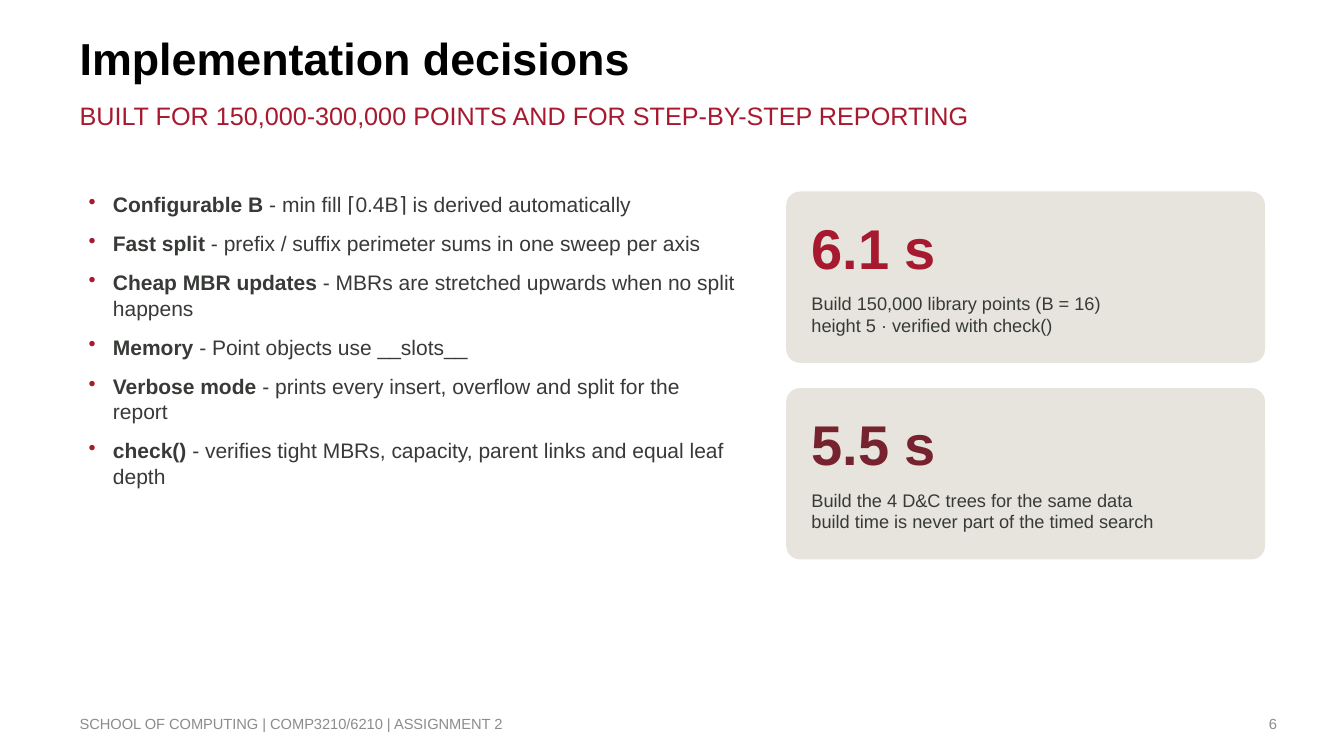
from dataclasses import dataclass

import pptx
import pptx.dml.color
import pptx.enum.shapes
import pptx.enum.text
import pptx.oxml.ns
import pptx.util
from lxml import etree
from pptx.shapes.base import BaseShape
from pptx.slide import Slide
from pptx.text.text import Font, TextFrame, _Paragraph

Pt = pptx.util.Pt
Align = pptx.enum.text.PP_ALIGN
Anchor = pptx.enum.text.MSO_ANCHOR

FONT = "Arial"
RED, MAROON = "A6192E", "76232F"
BLACK, INK, GREY, SAND = "000000", "373A36", "8C8C8C", "E6E4DC"
MARGIN = 56.9
INSET = 3.6


@dataclass(frozen=True)
class Area:
    left: float
    top: float
    width: float
    height: float


@dataclass(frozen=True)
class Label:
    text: str
    area: Area
    size: float
    color: str
    bold: bool = False
    inset: float = 0
    anchor: Anchor = Anchor.TOP
    align: Align = Align.LEFT


@dataclass(frozen=True)
class Decision:
    name: str
    detail: str


@dataclass(frozen=True)
class Card:
    figure: str
    color: str
    caption: str


TITLE = Label("Implementation decisions", Area(MARGIN, 21.6, 666, 51.1), 32, BLACK, bold=True)
LABELS = [
    Label("BUILT FOR 150,000-300,000 POINTS AND FOR STEP-BY-STEP REPORTING",
          Area(MARGIN, 71.3, 672.5, 35.3), 18, RED),
    Label("SCHOOL OF COMPUTING | COMP3210/6210 | ASSIGNMENT 2",
          Area(MARGIN, 502.6, 423.4, 28.8), 10.5, GREY, anchor=Anchor.MIDDLE),
    Label("6", Area(688.3, 502.6, 223.9, 28.8), 10.5, GREY,
          anchor=Anchor.MIDDLE, align=Align.RIGHT),
]
DECISIONS = [
    Decision("Configurable B", "min fill ⌈0.4B⌉ is derived automatically"),
    Decision("Fast split", "prefix / suffix perimeter sums in one sweep per axis"),
    Decision("Cheap MBR updates", "MBRs are stretched upwards when no split happens"),
    Decision("Memory", "Point objects use __slots__"),
    Decision("Verbose mode", "prints every insert, overflow and split for the report"),
    Decision("check()", "verifies tight MBRs, capacity, parent links and equal leaf depth"),
]
CARDS = [
    Card("6.1 s", RED,
         "Build 150,000 library points (B = 16)\nheight 5 · verified with check()"),
    Card("5.5 s", MAROON,
         "Build the 4 D&C trees for the same data\nbuild time is never part of the timed search"),
]
DECISION_AREA = Area(MARGIN, 133.2, 475.2, 345.6)
FIRST_CARD = Area(561.6, 136.8, 342, 122.4)
CARD_PITCH = 140.4
CARD_PADDING = 14.4


def rgb(color: str) -> pptx.dml.color.RGBColor:
    return pptx.dml.color.RGBColor.from_string(color)


def style_font(font: Font, size: float, color: str, bold: bool) -> None:
    font.name = FONT
    font.size = Pt(size)
    font.bold = bold
    font.color.rgb = rgb(color)


def place(shape: BaseShape, area: Area) -> None:
    shape.left, shape.top = Pt(area.left), Pt(area.top)
    shape.width, shape.height = Pt(area.width), Pt(area.height)


def set_frame(frame: TextFrame, inset: float, anchor: Anchor) -> None:
    frame.word_wrap = True
    frame.auto_size = pptx.enum.text.MSO_AUTO_SIZE.NONE
    frame.vertical_anchor = anchor
    frame.margin_left = frame.margin_right = Pt(inset)
    frame.margin_top = frame.margin_bottom = Pt(inset)


def fill_label(shape: BaseShape, label: Label) -> None:
    place(shape, label.area)
    frame = shape.text_frame
    set_frame(frame, label.inset, label.anchor)
    frame.text = label.text
    for para in frame.paragraphs:
        para.alignment = label.align
        for span in para.runs:
            style_font(span.font, label.size, label.color, label.bold)


def add_box(page: Slide) -> BaseShape:
    return page.shapes.add_textbox(0, 0, Pt(10), Pt(10))


def add_bullet(para: _Paragraph, color: str) -> None:
    qn = pptx.oxml.ns.qn
    properties = para._p.get_or_add_pPr()
    properties.set("marL", str(Pt(20.2)))
    properties.set("indent", str(Pt(-17.3)))
    bullet_color = etree.SubElement(properties, qn("a:buClr"))
    etree.SubElement(bullet_color, qn("a:srgbClr"), val=color)
    etree.SubElement(properties, qn("a:buChar"), char="•")


def add_decisions(page: Slide, decisions: list[Decision], area: Area) -> None:
    box = add_box(page)
    place(box, area)
    frame = box.text_frame
    set_frame(frame, INSET, Anchor.TOP)
    frame.text = "\n".join(decision.name for decision in decisions)
    for para, decision in zip(frame.paragraphs, decisions):
        add_bullet(para, RED)
        para.space_after = Pt(10)
        style_font(para.runs[0].font, 15, INK, True)
        detail = para.add_run()
        detail.text = f" - {decision.detail}"
        style_font(detail.font, 15, INK, False)


def add_card(page: Slide, card: Card, area: Area) -> None:
    panel = page.shapes.add_shape(pptx.enum.shapes.MSO_SHAPE.ROUNDED_RECTANGLE, 0, 0, 0, 0)
    place(panel, area)
    panel.adjustments[0] = 0.08
    panel.shadow.inherit = False
    panel.fill.solid()
    panel.fill.fore_color.rgb = rgb(SAND)
    panel.line.fill.background()

    left, width = area.left + CARD_PADDING, area.width - 2 * CARD_PADDING
    fill_label(add_box(page), Label(
        card.figure, Area(left, area.top + 10.8, width, 57.6), 40, card.color,
        bold=True, inset=INSET, anchor=Anchor.MIDDLE))
    fill_label(add_box(page), Label(
        card.caption, Area(left, area.top + 68.4, width, 46.8), 13, INK, inset=INSET))


def main() -> None:
    deck = pptx.Presentation()
    deck.slide_width, deck.slide_height = Pt(960), Pt(540)
    page = deck.slides.add_slide(deck.slide_layouts.get_by_name("Title Only"))

    # Title, subtitle and footer
    fill_label(page.shapes.title, TITLE)
    for label in LABELS:
        fill_label(add_box(page), label)

    # Decisions on the left
    add_decisions(page, DECISIONS, DECISION_AREA)

    # Timing cards on the right
    for index, card in enumerate(CARDS):
        top = FIRST_CARD.top + index * CARD_PITCH
        add_card(page, card, Area(FIRST_CARD.left, top, FIRST_CARD.width, FIRST_CARD.height))

    deck.save("out.pptx")


if __name__ == "__main__":
    main()
